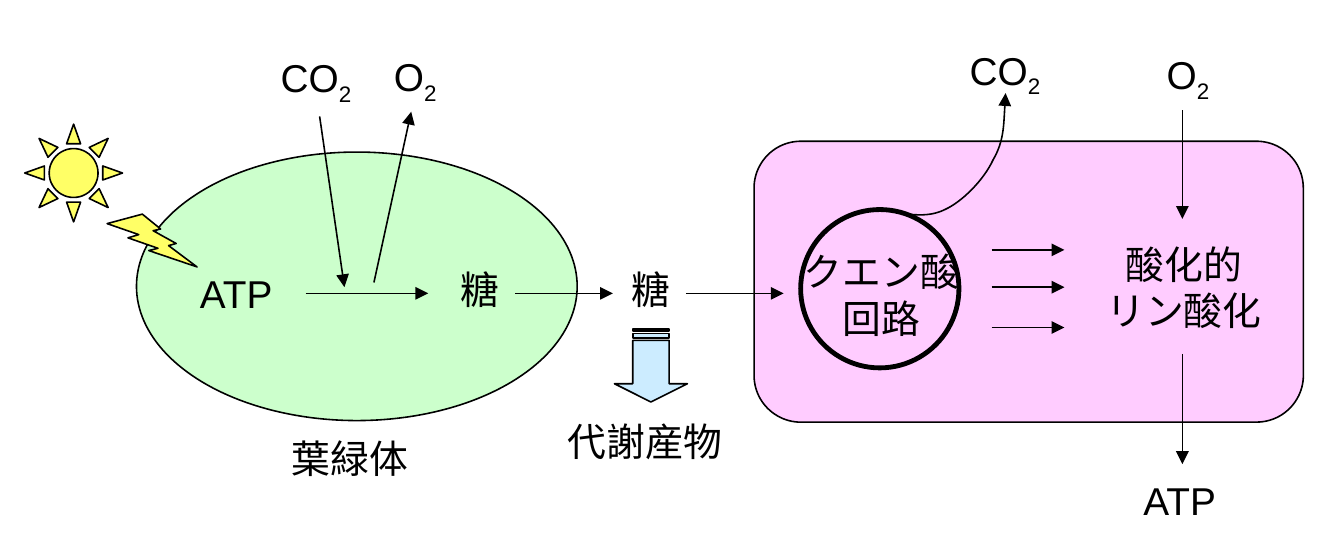
from lxml import etree
from pptx import Presentation
from pptx.dml.color import RGBColor
from pptx.enum import shapes, text
from pptx.oxml import ns
from pptx.util import Inches, Pt

COLORS = {
    "black": "000000",
    "chloroplast": "CCFFCC",
    "mitochondrion": "FFCCFF",
    "sunlight": "FFFF66",
    "product": "CCECFF",
}
CM_PER_INCH = 2.54
FONT = "Arial"
FONT_SIZE = 18
FLOW_Y = 1.89
OXYGEN_X = 7.62


def color(name):
    return RGBColor.from_string(COLORS[name])


def style_line(shape, width=0.75, arrow=False):
    """Give a shape or connector a black line, with an optional end arrow."""
    shape.line.color.rgb = color("black")
    shape.line.width = Pt(width)
    if arrow:
        line = shape.line._get_or_add_ln()
        etree.SubElement(line, ns.qn("a:tailEnd"), type="triangle")


def add_figure(slide, kind, left, top, width, height, fill=None, line_width=0.75):
    shape = slide.shapes.add_shape(
        kind, Inches(left), Inches(top), Inches(width), Inches(height))
    shape.shadow.inherit = False
    if fill:
        shape.fill.solid()
        shape.fill.fore_color.rgb = color(fill)
    else:
        shape.fill.background()
    style_line(shape, line_width)
    return shape


def style_paragraph(paragraph):
    paragraph.font.name = FONT
    paragraph.font.size = Pt(FONT_SIZE)
    paragraph.font.color.rgb = color("black")


def add_label(slide, left, top, width, *lines):
    """Add a text label; several lines are centred."""
    box = slide.shapes.add_textbox(
        Inches(left), Inches(top), Inches(width), Inches(0.1 + 0.3 * len(lines)))
    frame = box.text_frame
    frame.word_wrap = False
    frame.auto_size = text.MSO_AUTO_SIZE.SHAPE_TO_FIT_TEXT
    frame.text = "\n".join(lines)
    for paragraph in frame.paragraphs:
        if len(lines) > 1:
            paragraph.alignment = text.PP_ALIGN.CENTER
        style_paragraph(paragraph)


def add_gas(slide, left, top, width, symbol):
    """Add a chemical symbol followed by a subscript 2."""
    box = slide.shapes.add_textbox(
        Inches(left), Inches(top), Inches(width), Inches(0.44))
    frame = box.text_frame
    frame.word_wrap = True
    paragraph = frame.paragraphs[0]
    paragraph.add_run().text = symbol
    subscript = paragraph.add_run()
    subscript.text = "2"
    subscript.font._element.set("baseline", "-25000")
    style_paragraph(paragraph)


def add_arrow(slide, start_x, start_y, end_x, end_y):
    connector = slide.shapes.add_connector(
        shapes.MSO_CONNECTOR.STRAIGHT,
        Inches(start_x), Inches(start_y), Inches(end_x), Inches(end_y))
    style_line(connector, arrow=True)
    etree.SubElement(connector._element.spPr, ns.qn("a:effectLst"))


def add_curved_arrow(slide, start, *controls):
    """Draw cubic curves, each given by two control points and an end point."""
    builder = slide.shapes.build_freeform(Inches(start[0]), Inches(start[1]))
    builder.add_line_segments(
        [(Inches(x), Inches(y)) for x, y in controls], close=False)
    shape = builder.convert_to_shape()
    shape.shadow.inherit = False
    shape.fill.background()
    style_line(shape, arrow=True)
    segments = list(shape._element.iter(ns.qn("a:lnTo")))
    outline = segments[0].getparent()
    for first in range(0, len(segments), 3):
        curve = etree.SubElement(outline, ns.qn("a:cubicBezTo"))
        for segment in segments[first:first + 3]:
            curve.append(segment[0])
            outline.remove(segment)


def draw_chloroplast(slide):
    preset = shapes.MSO_SHAPE
    add_figure(slide, preset.OVAL, 0.88, 0.98, 2.84, 1.73, "chloroplast")
    add_label(slide, 1.19, 1.69, 0.68, "ATP")
    add_figure(slide, preset.SUN, 0.16, 0.8, 0.63, 0.63, "sunlight")
    add_figure(slide, preset.LIGHTNING_BOLT, 0.69, 1.38, 0.58, 0.34, "sunlight")
    add_arrow(slide, 1.97, FLOW_Y, 2.76, FLOW_Y)
    add_label(slide, 2.87, 1.66, 0.45, "糖")
    add_label(slide, 1.78, 2.75, 0.95, "葉緑体")
    add_gas(slide, 1.71, 0.3, 0.75, "CO")
    add_gas(slide, 2.44, 0.29, 0.57, "O")
    add_arrow(slide, 2.06, 0.75, 2.22, 1.85)
    add_arrow(slide, 2.41, 1.82, 2.65, 0.72)


def draw_mitochondrion(slide):
    preset = shapes.MSO_SHAPE
    add_figure(slide, preset.ROUNDED_RECTANGLE, 4.86, 0.91, 3.54, 1.81,
               "mitochondrion")
    add_figure(slide, preset.OVAL, 5.16, 1.35, 1.02, 1.02, line_width=2.25)
    add_label(slide, 5.08, 1.55, 1.2, "クエン酸", "回路")
    add_curved_arrow(slide, (5.69, 1.35),
                     (5.83, 1.38), (5.97, 1.41), (6.09, 1.35),
                     (6.2, 1.3), (6.34, 1.16), (6.4, 1.03),
                     (6.47, 0.91), (6.47, 0.76), (6.48, 0.6))
    add_gas(slide, 6.15, 0.25, 0.75, "CO")
    for y in (1.61, 1.85, 2.11):
        add_arrow(slide, 6.39, y, 6.86, y)
    add_label(slide, 7.03, 1.5, 1.2, "酸化的", "リン酸化")
    add_gas(slide, 7.42, 0.28, 0.57, "O")
    add_arrow(slide, OXYGEN_X, 0.71, OXYGEN_X, 1.41)
    add_arrow(slide, OXYGEN_X, 2.28, OXYGEN_X, 2.99)
    add_label(slide, 7.27, 3.02, 0.68, "ATP")


def draw_sugar_flow(slide):
    add_label(slide, 3.97, 1.66, 0.45, "糖")
    for start_x in (3.32, 4.42):
        add_arrow(slide, start_x, FLOW_Y, start_x + 0.63, FLOW_Y)
    product_arrow = add_figure(
        slide, shapes.MSO_SHAPE.STRIPED_RIGHT_ARROW, 3.96, 2.12, 0.47, 0.47,
        "product")
    product_arrow.adjustments[1] = 0.25
    product_arrow.rotation = 90
    add_label(slide, 3.56, 2.64, 1.2, "代謝産物")


def main():
    presentation = Presentation()
    presentation.slide_width = Inches(22 / CM_PER_INCH)
    presentation.slide_height = Inches(9 / CM_PER_INCH)
    slide = presentation.slides.add_slide(presentation.slide_layouts[6])
    draw_chloroplast(slide)
    draw_mitochondrion(slide)
    draw_sugar_flow(slide)
    presentation.save("out.pptx")


if __name__ == "__main__":
    main()
